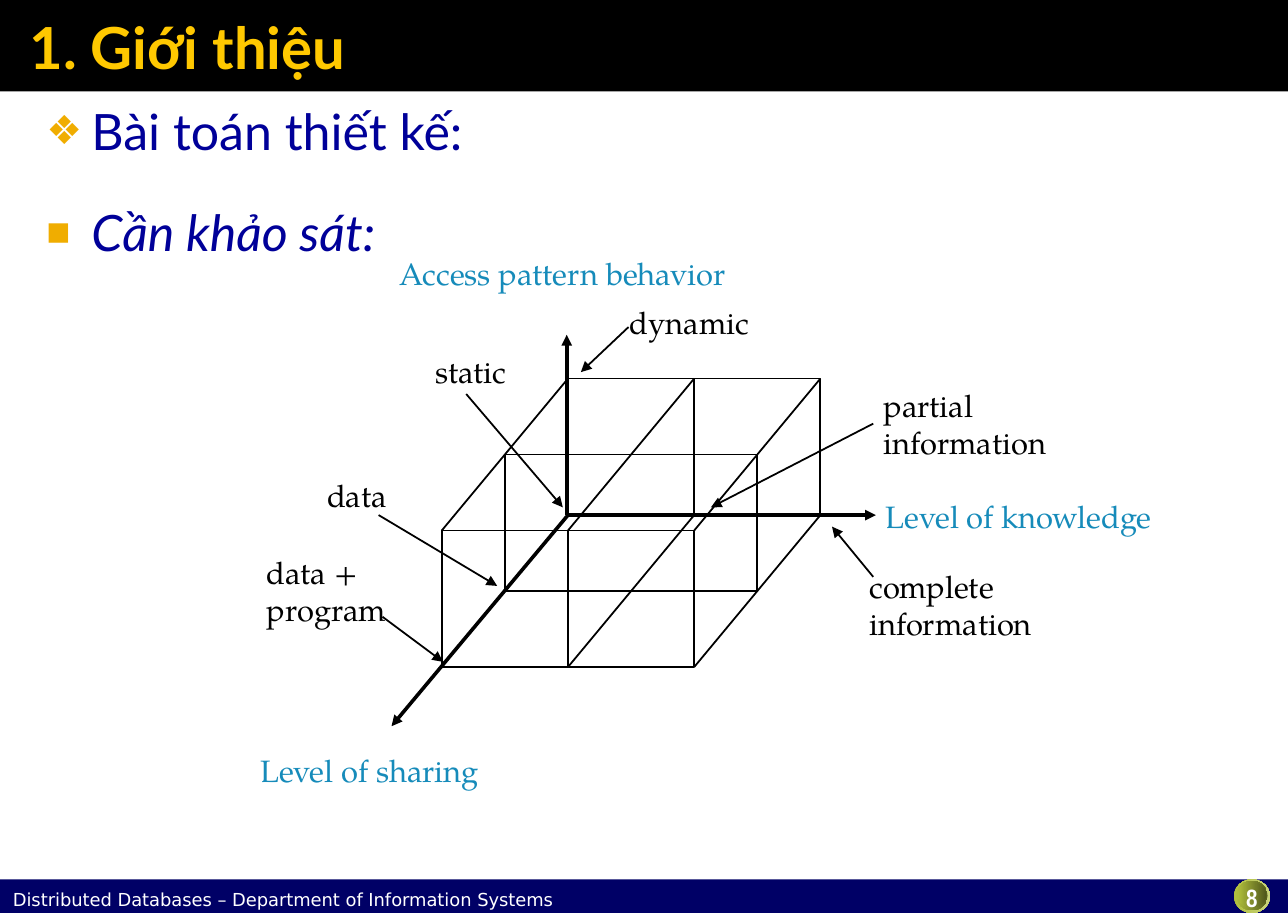
"""Build the design-problem slide with its three-axis access diagram."""
from typing import NamedTuple

import lxml.etree
import pptx
import pptx.dml.color
import pptx.enum.shapes
import pptx.enum.text
import pptx.oxml.ns
import pptx.util

COLORS = {
    "black": "000000", "white": "FFFFFF", "navy": "000066", "title": "FFC800",
    "body": "000099", "bullet": "F0AD00", "axis": "168BBA", "olive": "AFBE3C",
    "light_olive": "CAD47D", "dark_olive": "5F6720", "deep_olive": "555C1D", "core_olive": "51581C",
}
WIDTH, HEIGHT = 10, 7.09
ORIGIN = (4.41, 4)
KNOWLEDGE_STEP, SHARING_STEP, ACCESS_STEP = (0.98, 0), (-0.49, 0.59), (0, -1.06)
LABEL_FONT = "TeX Gyre Pagella"
LEFT, CENTER = pptx.enum.text.PP_ALIGN.LEFT, pptx.enum.text.PP_ALIGN.CENTER
Point = tuple[float, float]
Vertex = tuple[int, int, int]


class Box(NamedTuple):
    left: float
    top: float
    width: float
    height: float


class Label(NamedTuple):
    box: Box
    lines: tuple[str, ...]
    font: str = LABEL_FONT
    size: float = 17.3
    color: str = "black"
    bold: bool = False
    align: pptx.enum.text.PP_ALIGN = LEFT
    insets: Point = (0.09, 0.05)
    spacing: float = 1


class Arrow(NamedTuple):
    start: Point
    end: Point
    weight: float = 1


class Ellipse(NamedTuple):
    box: Box
    edge_color: str


def axis_label(box: Box, text: str) -> Label:
    return Label(box, (text,), color="axis", align=CENTER, insets=(0.07, 0.03), spacing=0.85)


LABELS = [
    Label(Box(0.08, 6.9, 4.67, 0.17), ("Distributed Databases – Department of Information Systems",),
          "DejaVu Sans", 10, "white", insets=(0.02, 0)),
    Label(Box(9.47, 6.85, 0.5, 0.23), ("8",), "Arial Narrow", 14, "white", True, CENTER, (0, 0)),
    axis_label(Box(1.94, 5.85, 1.86, 0.3), "Level of sharing"),
    axis_label(Box(6.79, 3.88, 2.24, 0.3), "Level of knowledge"),
    axis_label(Box(3.02, 1.99, 2.7, 0.3), "Access pattern behavior"),
    Label(Box(6.77, 2.95, 1.58, 0.67), ("partial", "information")),
    Label(Box(4.8, 2.31, 1.12, 0.38), ("dynamic",)),
    Label(Box(3.29, 2.69, 0.75, 0.38), ("static",)),
    Label(Box(2.45, 3.65, 0.66, 0.38), ("data",)),
    Label(Box(1.98, 4.25, 1.13, 0.67), ("data +", "program")),
    Label(Box(6.66, 4.36, 1.46, 0.67), ("complete", "information")),
]
ARROWS = [
    Arrow((4.4, 4), (4.4, 2.6), 2), Arrow(ORIGIN, (6.8, 4), 2), Arrow(ORIGIN, (3.04, 5.64), 2),
    Arrow((4.88, 2.54), (4.51, 2.89)), Arrow((3.62, 3.06), (4.37, 3.94)),
    Arrow((6.78, 3.29), (5.52, 3.94)), Arrow((6.78, 4.48), (6.46, 4.09)),
    Arrow((2.94, 4), (3.86, 4.55)), Arrow((2.97, 4.79), (3.44, 5.14)),
]
UPRIGHTS = [(0, 1), (2, 1), (0, 2), (1, 0), (1, 2)]
DEPTH_EDGES = [(0, 1), (1, 1), (2, 1), (1, 0), (2, 0)]
GRID_EDGES: list[tuple[Vertex, Vertex]] = (
    [((column, row, 0), (column, row, 1)) for column, row in UPRIGHTS]
    + [((column, 0, level), (column, 2, level)) for column, level in DEPTH_EDGES]
    + [((0, 1, level), (2, 1, level)) for level in (0, 1)]
)
OUTLINES: list[list[Vertex]] = [
    [(0, 2, 1), (2, 2, 1), (2, 2, 0), (0, 2, 0)],
    [(0, 0, 1), (2, 0, 1), (2, 0, 0)],
]
BADGE = [
    Ellipse(Box(9.58, 6.83, 0.28, 0.26), "white"),
    Ellipse(Box(9.58, 6.83, 0.28, 0.26), "light_olive"),
    Ellipse(Box(9.6, 6.84, 0.24, 0.23), "dark_olive"),
    Ellipse(Box(9.6, 6.84, 0.24, 0.23), "deep_olive"),
    Ellipse(Box(9.61, 6.85, 0.22, 0.2), "core_olive"),
]


def rgb(name: str) -> pptx.dml.color.RGBColor:
    return pptx.dml.color.RGBColor.from_string(COLORS[name])


def inches(values) -> list[int]:
    return [pptx.util.Inches(value) for value in values]


def project(vertex: Vertex) -> Point:
    steps = (KNOWLEDGE_STEP, SHARING_STEP, ACCESS_STEP)
    return tuple(ORIGIN[axis] + sum(count * step[axis] for count, step in zip(vertex, steps))
                 for axis in (0, 1))


def add_element(parent, tag: str, **attributes: str):
    return lxml.etree.SubElement(parent, pptx.oxml.ns.qn(tag), attributes)


def set_font(paragraph, name: str, size: float, color: str, bold: bool = False, italic: bool = False) -> None:
    font = paragraph.font
    font.name, font.size, font.bold, font.italic = name, pptx.util.Pt(size), bold, italic
    font.color.rgb = rgb(color)


def set_line(shape, weight: float) -> None:
    shape.line.color.rgb = rgb("black")
    shape.line.width = pptx.util.Pt(weight)


def draw_line(slide, arrow: Arrow, pointed: bool) -> None:
    connector = slide.shapes.add_connector(
        pptx.enum.shapes.MSO_CONNECTOR.STRAIGHT, *inches(arrow.start + arrow.end))
    set_line(connector, arrow.weight)
    if pointed:
        add_element(connector.line._get_or_add_ln(), "a:tailEnd", type="triangle")
    add_element(connector._element.spPr, "a:effectLst")


def draw_outline(slide, vertices: list[Vertex]) -> None:
    points = [tuple(inches(project(vertex))) for vertex in vertices]
    builder = slide.shapes.build_freeform(*points[0])
    builder.add_line_segments(points[1:], close=False)
    shape = builder.convert_to_shape()
    shape.shadow.inherit = False
    shape.fill.background()
    set_line(shape, 1)


def draw_bar(slide, box: Box, color: str) -> None:
    bar = slide.shapes.add_shape(pptx.enum.shapes.MSO_SHAPE.RECTANGLE, *inches(box))
    bar.shadow.inherit = False
    bar.fill.solid()
    bar.fill.fore_color.rgb = rgb(color)
    bar.line.fill.background()


def draw_ellipse(slide, ellipse: Ellipse) -> None:
    shape = slide.shapes.add_shape(pptx.enum.shapes.MSO_SHAPE.OVAL, *inches(ellipse.box))
    shape.shadow.inherit = False
    shape.fill.gradient()
    shape.fill.gradient_angle = 0
    for stop, position, color in zip(shape.fill.gradient_stops, (0, 1), ("olive", ellipse.edge_color)):
        stop.position = position
        stop.color.rgb = rgb(color)
    shape.line.fill.background()


def draw_label(slide, label: Label) -> None:
    frame = slide.shapes.add_textbox(*inches(label.box)).text_frame
    frame.word_wrap = False
    frame.margin_left = frame.margin_right = pptx.util.Inches(label.insets[0])
    frame.margin_top = frame.margin_bottom = pptx.util.Inches(label.insets[1])
    frame.text = "\n".join(label.lines)
    for paragraph in frame.paragraphs:
        paragraph.alignment, paragraph.line_spacing = label.align, label.spacing
        set_font(paragraph, label.font, label.size, label.color, label.bold)


def place(slide, placeholder, box: Box, text: str):
    placeholder.left, placeholder.top, placeholder.width, placeholder.height = inches(box)
    slide.shapes._spTree.append(placeholder._element)
    frame = placeholder.text_frame
    frame.auto_size = pptx.enum.text.MSO_AUTO_SIZE.NONE
    frame.text = text
    return frame


def fill_placeholders(slide) -> None:
    title = place(slide, slide.shapes.title, Box(0.13, 0.01, 9.77, 0.7), "1. Giới thiệu")
    title.vertical_anchor = pptx.enum.text.MSO_ANCHOR.MIDDLE
    title.paragraphs[0].alignment = LEFT
    set_font(title.paragraphs[0], "Lato", 32.4, "title", bold=True)
    body = place(slide, slide.placeholders[1], Box(0.13, 0.71, 9.42, 1.09),
                 "Bài toán thiết kế:\nCần khảo sát:")
    for paragraph, bullet, spacing, italic in zip(body.paragraphs, "❖■", (1.05, 1.5), (False, True)):
        paragraph.line_spacing = spacing
        paragraph.space_before = paragraph.space_after = pptx.util.Pt(2.8)
        properties = paragraph._p.get_or_add_pPr()
        properties.set("marL", str(pptx.util.Inches(0.48)))
        properties.set("indent", str(pptx.util.Inches(-0.35)))
        add_element(add_element(properties, "a:buClr"), "a:srgbClr", val=COLORS["bullet"])
        add_element(properties, "a:buSzPct", val="80000")
        add_element(properties, "a:buChar", char=bullet)
        set_font(paragraph, "Lato", 28, "body", italic=italic)


def main() -> None:
    presentation = pptx.Presentation()
    presentation.slide_width, presentation.slide_height = inches((WIDTH, HEIGHT))
    slide = presentation.slides.add_slide(presentation.slide_layouts[1])
    draw_bar(slide, Box(0, 0, WIDTH, 0.71), "black")
    draw_bar(slide, Box(0, 6.83, WIDTH, 0.26), "navy")
    for ellipse in BADGE:
        draw_ellipse(slide, ellipse)
    for start, end in GRID_EDGES:
        draw_line(slide, Arrow(project(start), project(end)), pointed=False)
    for vertices in OUTLINES:
        draw_outline(slide, vertices)
    for arrow in ARROWS:
        draw_line(slide, arrow, pointed=True)
    for label in LABELS:
        draw_label(slide, label)
    fill_placeholders(slide)
    presentation.save("out.pptx")


main()
